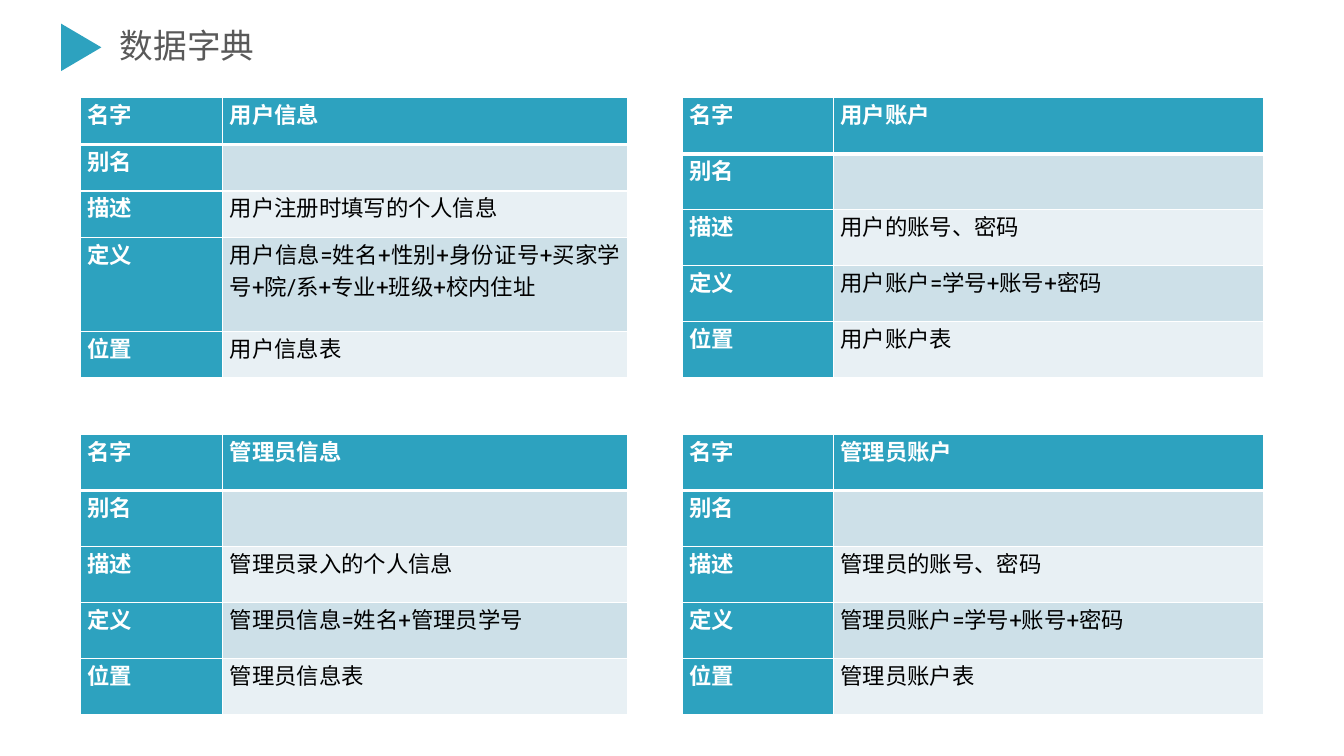
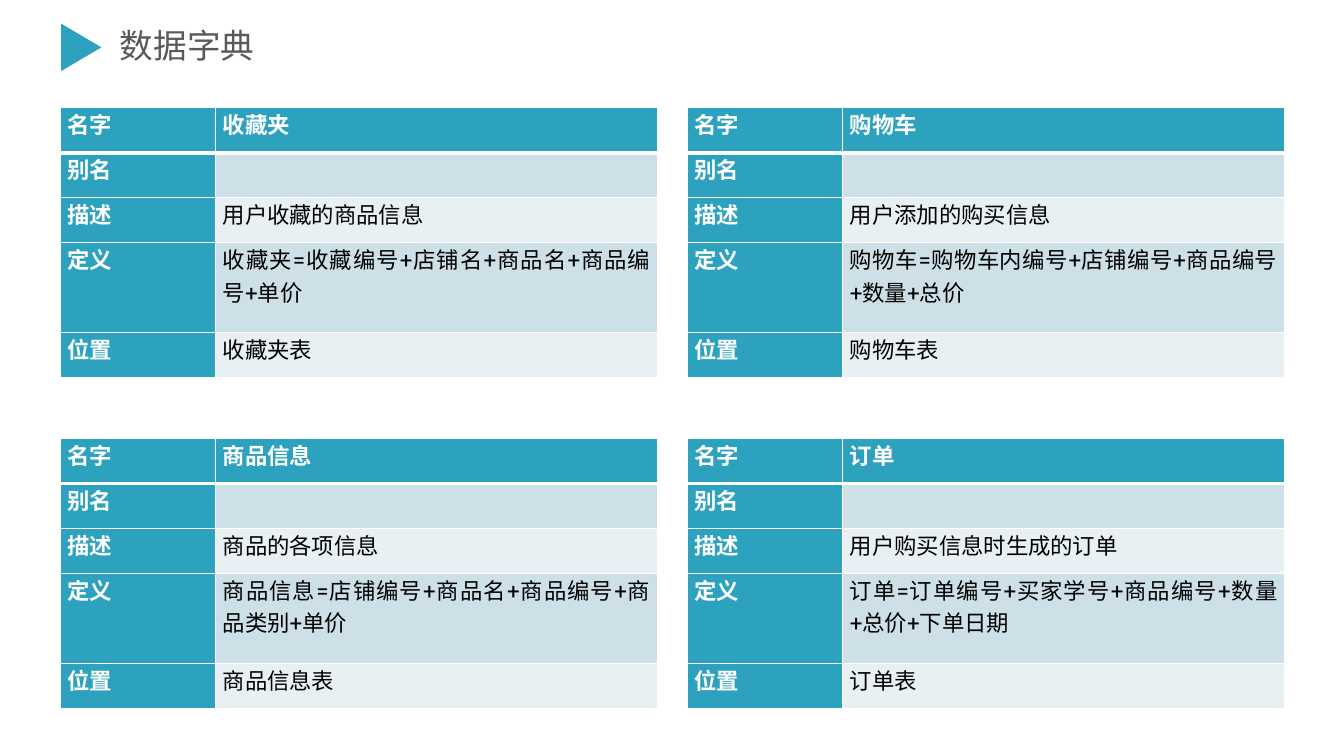
"""Build two slides of data dictionary tables."""
from dataclasses import dataclass

from lxml import etree
from pptx import Presentation
from pptx import util as u
from pptx.dml.color import RGBColor
from pptx.enum import lang, shapes, text
from pptx.oxml.ns import qn

TEAL = RGBColor(0x2D, 0xA2, 0xBF)
BAND_DARK = RGBColor(0xCD, 0xE0, 0xE8)
BAND_LIGHT = RGBColor(0xE8, 0xF0, 0xF4)
WHITE = RGBColor(0xFF, 0xFF, 0xFF)
BLACK = RGBColor(0, 0, 0)
GREY = RGBColor(0x59, 0x59, 0x59)
CJK_FONT = "Noto Sans CJK SC"
TABLE_FONT = "Roboto"
WIDTH, HEIGHT = u.Inches(13.33), u.Inches(7.5)
TITLE = "数据字典"
LABELS = ("名字", "别名", "描述", "定义", "位置")
LABEL_SHARE = 0.26
INSET = u.Inches(0.07)


@dataclass(frozen=True)
class Entry:
    """One dictionary entry; its definition takes a number of row units."""
    name: str
    description: str
    terms: str
    units: int = 1

    def values(self) -> tuple[str, ...]:
        """Return the texts of the value column."""
        return (self.name, "", self.description,
                f"{self.name}={self.terms}", f"{self.name}表")


@dataclass(frozen=True)
class Page:
    """Table grid in percent of the slide, with entries row by row."""
    columns: tuple[tuple[float, float], ...]
    tops: tuple[float, ...]
    height: float
    entries: tuple[Entry, ...]


PAGES = (
    Page(((6, 40.68), (50.79, 43.21)), (12.93, 57.47), 37.07, (
        Entry("用户信息", "用户注册时填写的个人信息",
              "姓名+性别+身份证号+买家学号+院/系+专业+班级+校内住址", 2),
        Entry("用户账户", "用户的账号、密码", "学号+账号+密码"),
        Entry("管理员信息", "管理员录入的个人信息", "姓名+管理员学号"),
        Entry("管理员账户", "管理员的账号、密码", "学号+账号+密码"),
    )),
    Page(((4.5, 44.41), (51.16, 44.41)), (14.27, 58), 35.73, (
        Entry("收藏夹", "用户收藏的商品信息", "收藏编号+店铺名+商品名+商品编号+单价", 2),
        Entry("购物车", "用户添加的购买信息", "购物车内编号+店铺编号+商品编号+数量+总价", 2),
        Entry("商品信息", "商品的各项信息", "店铺编号+商品名+商品编号+商品类别+单价", 2),
        Entry("订单", "用户购买信息时生成的订单",
              "订单编号+买家学号+商品编号+数量+总价+下单日期", 2),
    )),
)


def box(left: float, top: float, width: float, height: float) -> tuple[int, ...]:
    """Turn percentages of the slide into lengths."""
    return tuple(round(share * side / 100) for share, side in
                 zip((left, top, width, height), (WIDTH, HEIGHT) * 2))


def style_run(r, font: str, size: int, color: RGBColor, bold: bool = False) -> None:
    """Format a run of Chinese text."""
    r.font.name, r.font.size, r.font.bold = font, u.Pt(size), bold
    r.font.color.rgb = color
    r.font.language_id = lang.MSO_LANGUAGE_ID.SIMPLIFIED_CHINESE
    etree.SubElement(r._r.get_or_add_rPr(), qn("a:ea"), typeface=CJK_FONT)


def add_border(cell, side: str, points: int) -> None:
    """Add a white line to one side of a cell."""
    ln = etree.SubElement(cell._tc.get_or_add_tcPr(), qn(f"a:ln{side}"), w=str(u.Pt(points)))
    fill = etree.SubElement(ln, qn("a:solidFill"))
    etree.SubElement(fill, qn("a:srgbClr"), val=str(WHITE))


def fill_cell(cell, value: str, row: int, col: int) -> None:
    """Write and style one table cell."""
    strong = row == 0 or col == 0
    for side in "LRTB":
        heavy = (row, side) in ((0, "B"), (1, "T"))
        add_border(cell, side, 3 if heavy else 1)
    cell.fill.solid()
    cell.fill.fore_color.rgb = TEAL if strong else BAND_DARK if row % 2 else BAND_LIGHT
    cell.margin_left = cell.margin_right = INSET
    cell.margin_top = cell.margin_bottom = 0
    p = cell.text_frame.paragraphs[0]
    p.alignment = text.PP_ALIGN.JUSTIFY
    if value:
        p.text = value
        style_run(p.runs[0], TABLE_FONT, 16, WHITE if strong else BLACK, strong)


def add_entry(s, entry: Entry, area: tuple[int, ...]) -> None:
    """Draw a dictionary entry as a table."""
    table = s.shapes.add_table(len(LABELS), 2, *area).table
    table.first_row = table.horz_banding = False
    width, height = area[2:]
    table.columns[0].width = round(width * LABEL_SHARE)
    table.columns[1].width = width - table.columns[0].width
    units = (1, 1, 1, entry.units, 1)
    for row, pair in enumerate(zip(LABELS, entry.values())):
        table.rows[row].height = round(height * units[row] / sum(units))
        for col, value in enumerate(pair):
            fill_cell(table.cell(row, col), value, row, col)


def add_title(s) -> None:
    """Draw the title and its triangle."""
    tf = s.shapes.add_textbox(*box(8.18, 2.67, 24.46, 6.67)).text_frame
    tf.word_wrap = True
    tf.auto_size = text.MSO_AUTO_SIZE.SHAPE_TO_FIT_TEXT
    tf.text = TITLE
    style_run(tf.paragraphs[0].runs[0], CJK_FONT, 24, GREY)
    sp = s.shapes.add_shape(shapes.MSO_SHAPE.ISOSCELES_TRIANGLE, *box(4.28, 3.6, 3.53, 5.33))
    sp.rotation = 90
    sp.shadow.inherit = False
    sp.fill.solid()
    sp.fill.fore_color.rgb = TEAL
    sp.line.fill.background()


def main() -> None:
    """Build and save the presentation."""
    prs = Presentation()
    prs.slide_width, prs.slide_height = WIDTH, HEIGHT
    for page in PAGES:
        s = prs.slides.add_slide(prs.slide_layouts[6])
        add_title(s)
        for i, entry in enumerate(page.entries):
            row, col = divmod(i, len(page.columns))
            left, width = page.columns[col]
            add_entry(s, entry, box(left, page.tops[row], width, page.height))
    prs.save("out.pptx")


if __name__ == "__main__":
    main()
